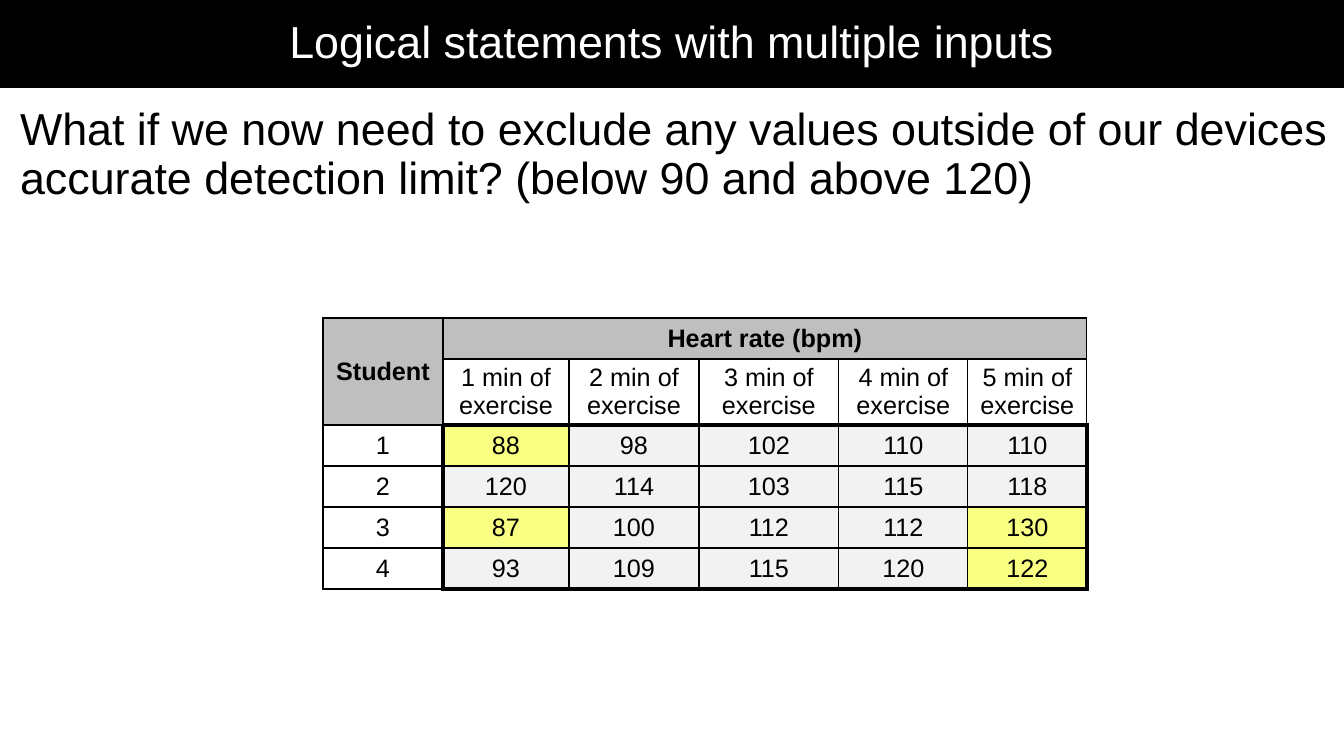
from dataclasses import dataclass

from lxml.etree import SubElement
from pptx import Presentation
from pptx.dml.color import RGBColor
from pptx.enum.text import MSO_ANCHOR, MSO_AUTO_SIZE, PP_ALIGN
from pptx.oxml.ns import qn
from pptx.util import Emu, Pt

BLACK = RGBColor(0x00, 0x00, 0x00)
WHITE = RGBColor(0xFF, 0xFF, 0xFF)
HEADER_GREY = RGBColor(0xBF, 0xBF, 0xBF)
READING_GREY = RGBColor(0xF2, 0xF2, 0xF2)
HIGHLIGHT = RGBColor(0xF8, 0xFF, 0x83)

FONT = "Arial"
THIN, THICK = Pt(1), Pt(3)
LOWEST, HIGHEST = 90, 120
HEADER_ROWS = 2
COLUMN_WIDTHS = [120, 126, 130, 140, 129, 119]
ROW_HEIGHTS = [41, 66, 41, 41, 41, 41]


@dataclass(frozen=True)
class Box:
    left: int
    top: int
    width: int
    height: int


@dataclass(frozen=True)
class Student:
    name: str
    rates: tuple[int, ...]


@dataclass(frozen=True)
class CellLook:
    fill: RGBColor
    bold: bool = False


STUDENTS = [
    Student("1", (88, 98, 102, 110, 110)),
    Student("2", (120, 114, 103, 115, 118)),
    Student("3", (87, 100, 112, 112, 130)),
    Student("4", (93, 109, 115, 120, 122)),
]


def px(n: int) -> Emu:
    return Emu(round(n * 914400 / 100.8))


def place(sp, box: Box) -> None:
    sp.left, sp.top = px(box.left), px(box.top)
    sp.width, sp.height = px(box.width), px(box.height)


def format_text(p, size: int, color: RGBColor, bold: bool = False) -> None:
    for r in p.runs:
        r.font.name = FONT
        r.font.size = Pt(size)
        r.font.bold = bold
        r.font.color.rgb = color


def fill_placeholder(sp, box: Box, text: str, color: RGBColor,
                     align: PP_ALIGN, anchor: MSO_ANCHOR):
    place(sp, box)
    tf = sp.text_frame
    tf.text = text
    tf.word_wrap = True
    tf.auto_size = MSO_AUTO_SIZE.NONE
    tf.vertical_anchor = anchor
    p = tf.paragraphs[0]
    p.alignment = align
    p.line_spacing = 0.9
    format_text(p, 32, color)
    return p


def remove_bullet(p) -> None:
    pPr = p._p.get_or_add_pPr()
    pPr.set("marL", "0")
    pPr.set("indent", "0")
    SubElement(pPr, qn("a:buNone"))


def set_borders(cell, row: int, col: int) -> None:
    """Rule the cell thinly, with a thick frame around the block of readings."""
    last_row, last_col = len(ROW_HEIGHTS) - 1, len(COLUMN_WIDTHS) - 1
    in_rows, in_cols = row >= HEADER_ROWS, col >= 1
    thick = {
        "a:lnL": in_rows and col == 1,
        "a:lnR": in_rows and col in (0, last_col),
        "a:lnT": in_cols and row == HEADER_ROWS,
        "a:lnB": in_cols and row in (HEADER_ROWS - 1, last_row),
    }
    tcPr = cell._tc.get_or_add_tcPr()
    for tag, is_thick in thick.items():
        ln = SubElement(tcPr, qn(tag), w=str(THICK if is_thick else THIN))
        fill = SubElement(ln, qn("a:solidFill"))
        SubElement(fill, qn("a:srgbClr"), val=str(BLACK))


def cell_look(row: int, col: int) -> CellLook:
    if row == 0 or (row < HEADER_ROWS and col == 0):
        return CellLook(HEADER_GREY, bold=True)
    if row < HEADER_ROWS or col == 0:
        return CellLook(WHITE)
    rate = STUDENTS[row - HEADER_ROWS].rates[col - 1]
    return CellLook(READING_GREY if LOWEST <= rate <= HIGHEST else HIGHLIGHT)


def format_cell(cell, row: int, col: int, text: str) -> None:
    look = cell_look(row, col)
    set_borders(cell, row, col)
    cell.fill.solid()
    cell.fill.fore_color.rgb = look.fill
    cell.vertical_anchor = MSO_ANCHOR.MIDDLE
    cell.margin_top = cell.margin_bottom = px(4)
    cell.text_frame.text = text
    p = cell.text_frame.paragraphs[0]
    p.alignment = PP_ALIGN.CENTER
    format_text(p, 18, BLACK, look.bold)


def add_heart_rates(s, left: int, top: int) -> None:
    minutes = range(1, len(COLUMN_WIDTHS))
    texts = [
        ["Student", "Heart rate (bpm)"] + [""] * (len(minutes) - 1),
        [""] + [f"{n} min of exercise" for n in minutes],
    ] + [[st.name, *map(str, st.rates)] for st in STUDENTS]

    table = s.shapes.add_table(
        len(ROW_HEIGHTS), len(COLUMN_WIDTHS), px(left), px(top),
        px(sum(COLUMN_WIDTHS)), px(sum(ROW_HEIGHTS))).table
    table.first_row = table.horz_banding = False
    for column, width in zip(table.columns, COLUMN_WIDTHS):
        column.width = px(width)
    for row, height in zip(table.rows, ROW_HEIGHTS):
        row.height = px(height)
    for i, row_texts in enumerate(texts):
        for j, text in enumerate(row_texts):
            format_cell(table.cell(i, j), i, j, text)
    table.cell(0, 0).merge(table.cell(HEADER_ROWS - 1, 0))
    table.cell(0, 1).merge(table.cell(0, len(minutes)))


def main() -> None:
    prs = Presentation()
    prs.slide_width, prs.slide_height = px(1344), px(756)
    s = prs.slides.add_slide(prs.slide_layouts[1])

    title = s.shapes.title
    fill_placeholder(title, Box(0, 0, 1344, 88),
                     "Logical statements with multiple inputs",
                     WHITE, PP_ALIGN.CENTER, MSO_ANCHOR.MIDDLE)
    title.fill.solid()
    title.fill.fore_color.rgb = BLACK

    question = fill_placeholder(
        s.placeholders[1], Box(10, 102, 1334, 200),
        "What if we now need to exclude any values outside of our devices "
        "accurate detection limit? (below 90 and above 120)",
        BLACK, PP_ALIGN.LEFT, MSO_ANCHOR.TOP)
    question.space_before = Pt(10)
    remove_bullet(question)

    add_heart_rates(s, 323, 318)
    prs.save("out.pptx")


if __name__ == "__main__":
    main()
